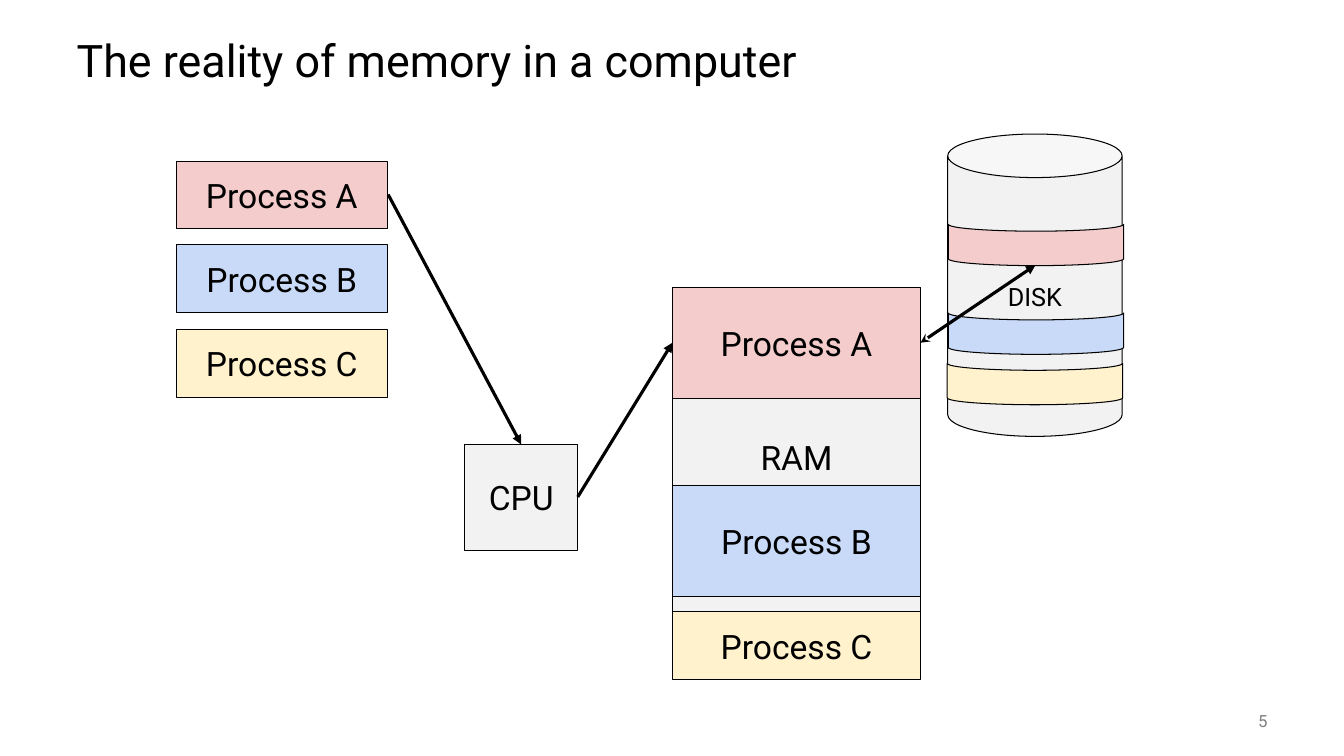
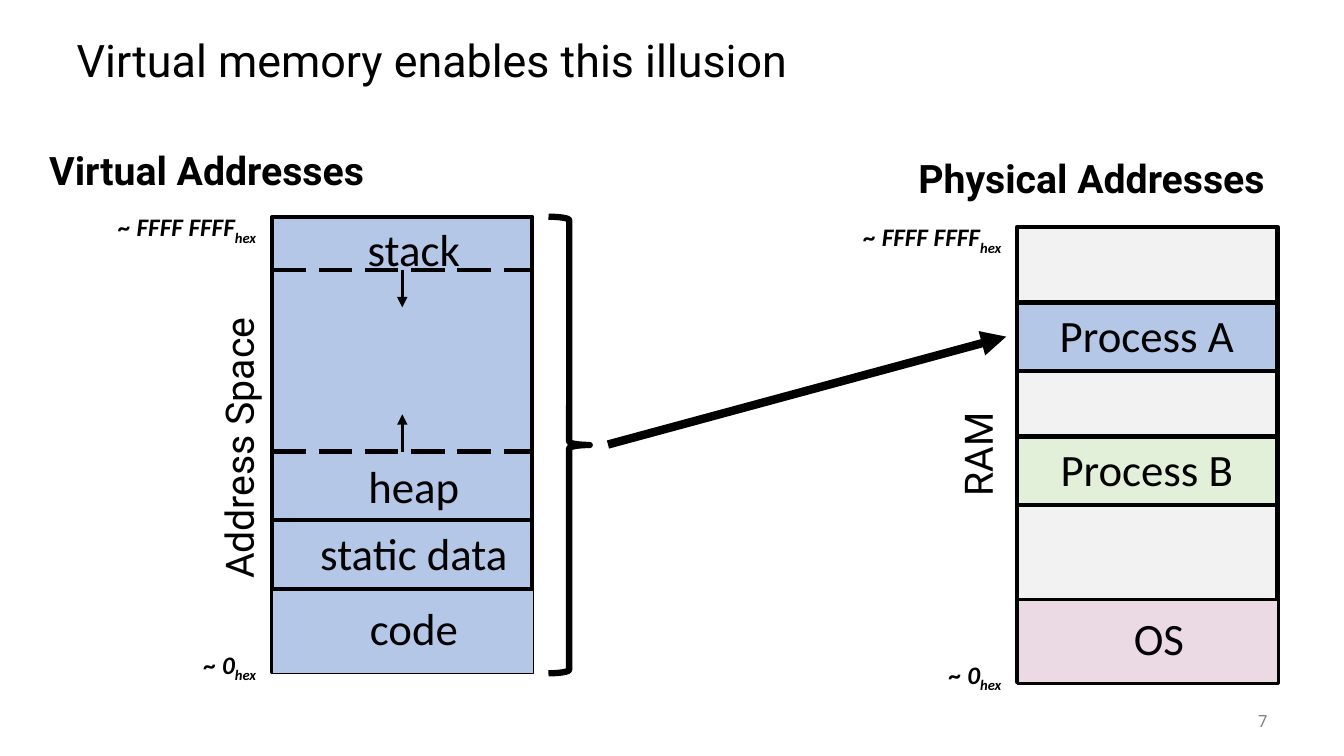
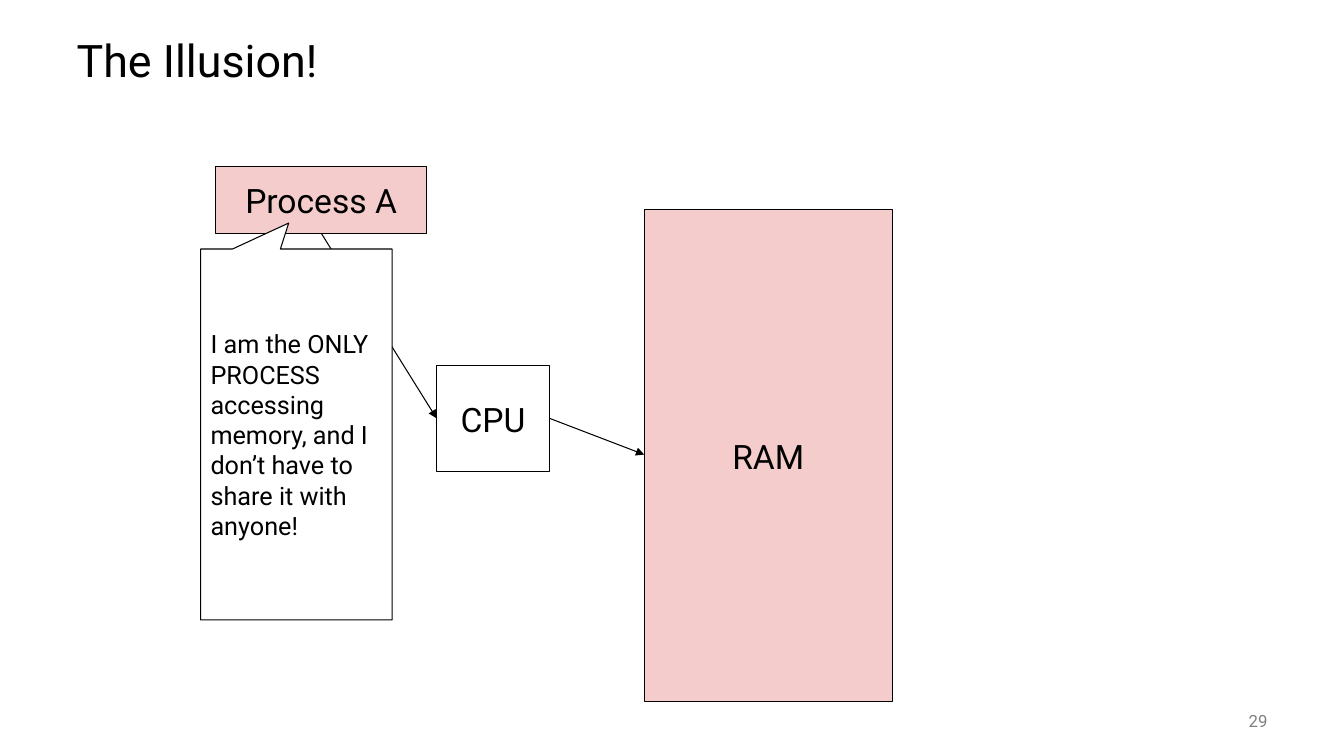
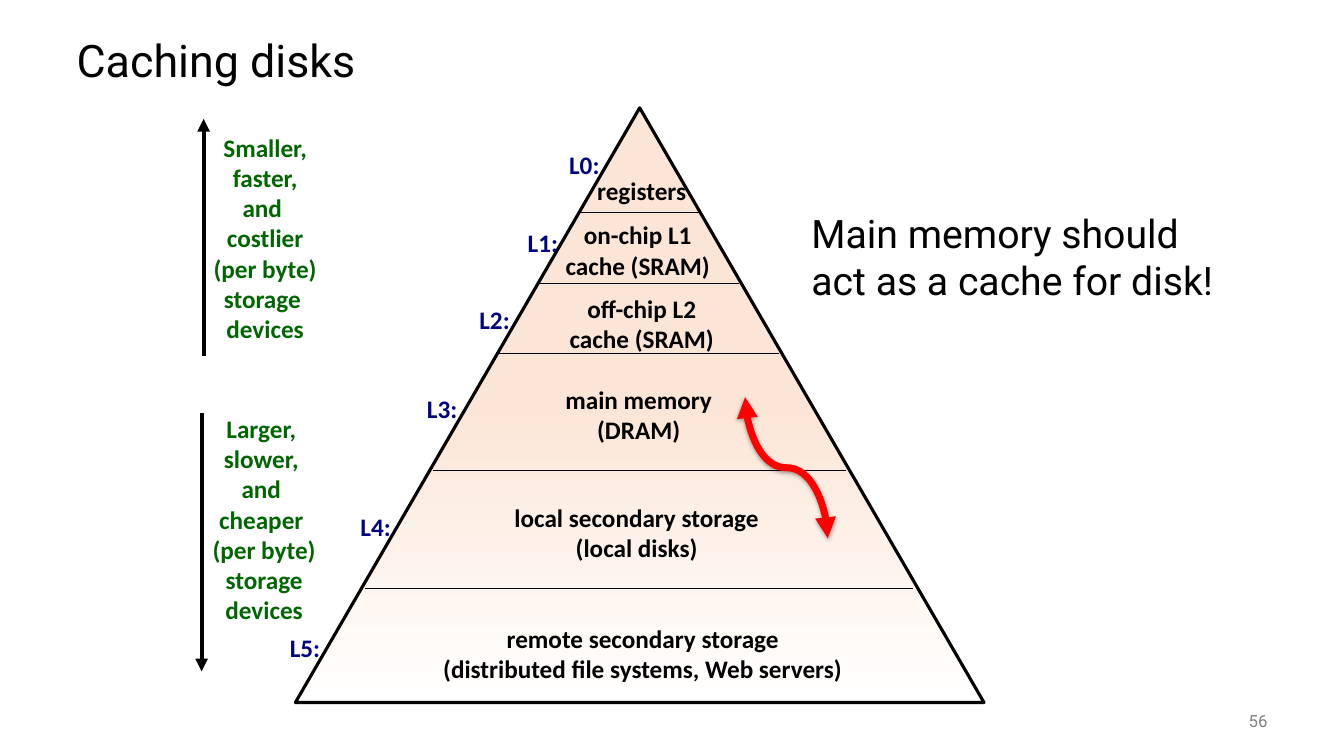
from copy import deepcopy

from lxml.etree import SubElement
from pptx import Presentation
from pptx.dml.color import RGBColor
from pptx.enum.dml import MSO_LINE
from pptx.enum.shapes import MSO_CONNECTOR, MSO_SHAPE
from pptx.enum.text import MSO_ANCHOR, MSO_AUTO_SIZE, PP_ALIGN
from pptx.oxml.ns import qn
from pptx.util import Emu, Pt

BLACK, GRAY, RED = "000000", "808080", "FF0000"
PALE_GRAY, WHITE = "F2F2F2", "FFFFFF"
PINK, BLUE, YELLOW = "F4CCCC", "C9DAF8", "FFF2CC"
STEEL, GREEN, MAUVE, PEACH = "B4C7E7", "E2F0D9", "EBDAE3", "FBE5D6"
NAVY, DARK_GREEN = "000482", "006600"
LEFT, CENTER, RIGHT = PP_ALIGN.LEFT, PP_ALIGN.CENTER, PP_ALIGN.RIGHT
TOP, MIDDLE = MSO_ANCHOR.TOP, MSO_ANCHOR.MIDDLE
ROBOTO, CALIBRI = "Roboto", "Calibri"


def px(*lengths):
    """Turn lengths at 100 px to the inch into EMU."""
    return [Emu(length * 9144) for length in lengths]


def rgb(code):
    return RGBColor.from_string(code)


class Deck:
    def __init__(self):
        self.presentation = Presentation()
        size = px(1333, 750)
        self.presentation.slide_width, self.presentation.slide_height = size
        self.slide = None

    def add_slide(self, title, number):
        layout = self.presentation.slide_layouts[5]
        self.slide = self.presentation.slides.add_slide(layout)
        shape = self.slide.shapes.title
        shape.left, shape.top, shape.width, shape.height = px(66, 25, 1200, 75)
        self.set_text(shape, title, 32, align=LEFT)
        shape.text_frame.paragraphs[0].line_spacing = 0.9
        self.text(str(number), 1167, 695, 100, 40, 12, color=GRAY, align=RIGHT,
                  anchor=MIDDLE)

    def set_text(self, shape, content, size, font=ROBOTO, color=BLACK,
                 bold=False, italic=False, align=CENTER, anchor=MIDDLE,
                 wrap=True):
        frame = shape.text_frame
        frame.text = content
        frame.auto_size = MSO_AUTO_SIZE.NONE
        frame.word_wrap = wrap
        frame.vertical_anchor = anchor
        for paragraph in frame.paragraphs:
            paragraph.alignment = align
            for run in paragraph.runs:
                self.style(run, size, font, color, bold, italic)

    def style(self, run, size, font, color, bold, italic):
        run.font.size, run.font.name = Pt(size), font
        run.font.bold, run.font.italic = bold, italic
        run.font.color.rgb = rgb(color)

    def text(self, content, left, top, width, height, size, rotation=0,
             align=LEFT, anchor=TOP, **style):
        box = self.slide.shapes.add_textbox(*px(left, top, width, height))
        box.rotation = rotation
        self.set_text(box, content, size, align=align, anchor=anchor, **style)
        return box

    def bold_label(self, content, left, top, width, color=BLACK):
        """Add centred lines whose box is as tall as they need."""
        height = 40 + 30 * content.count("\n")
        self.text(content, left, top, width, height, 18, font=CALIBRI,
                  color=color, bold=True, align=CENTER, anchor=MIDDLE,
                  wrap=False)

    def shape(self, kind, left, top, width, height, fill=None, weight=0.75,
              rotation=0):
        shape = self.slide.shapes.add_shape(kind, *px(left, top, width, height))
        shape.shadow.inherit = False
        shape.rotation = rotation
        if fill:
            shape.fill.solid()
            shape.fill.fore_color.rgb = rgb(fill)
        else:
            shape.fill.background()
        shape.line.color.rgb = rgb(BLACK)
        shape.line.width = Pt(weight)
        return shape

    def box(self, content, left, top, width, height, fill, size=24,
            kind=MSO_SHAPE.RECTANGLE, align=CENTER):
        shape = self.shape(kind, left, top, width, height, fill)
        self.set_text(shape, content, size, align=align)
        frame = shape.text_frame
        frame.margin_top, frame.margin_bottom = px(10, 10)
        return shape

    def band(self, left, top, width, height, fill, weight=3):
        return self.shape(MSO_SHAPE.RECTANGLE, left, top, width, height, fill,
                          weight)

    def line(self, start_x, start_y, end_x, end_y, weight, head=None,
             tail=None, dash=None, color=BLACK, kind=MSO_CONNECTOR.STRAIGHT):
        connector = self.slide.shapes.add_connector(
            kind, *px(start_x, start_y, end_x, end_y))
        connector.line.color.rgb = rgb(color)
        connector.line.width = Pt(weight)
        if dash:
            connector.line.dash_style = dash
        properties = connector._element.spPr
        outline = properties.find(qn("a:ln"))
        for tag, arrow in (("a:headEnd", head), ("a:tailEnd", tail)):
            if arrow:
                SubElement(outline, qn(tag), type=arrow)
        SubElement(properties, qn("a:effectLst"))
        return connector

    def arrow(self, start_x, start_y, end_x, end_y, weight, head=None):
        self.line(start_x, start_y, end_x, end_y, weight, head, "triangle")

    def drop_shadow(self, connector):
        effects = connector._element.spPr.find(qn("a:effectLst"))
        shadow = SubElement(effects, qn("a:outerShdw"), blurRad=str(Pt(3.1)),
                            dist=str(Pt(1.6)), dir="5400000", rotWithShape="0")
        color = SubElement(shadow, qn("a:srgbClr"), val=BLACK)
        SubElement(color, qn("a:alpha"), val="37000")

    def gradient(self, shape, stops):
        """Fill from top to bottom with three (position, colour) stops."""
        shape.fill.gradient()
        shape.fill.gradient_angle = 270
        stop_list = shape._element.spPr.find(".//" + qn("a:gsLst"))
        stop_list.insert(1, deepcopy(stop_list[0]))
        for stop, (position, color) in zip(shape.fill.gradient_stops, stops):
            stop.position = position
            stop.color.rgb = rgb(color)

    def memory_label(self, content, center, top):
        self.text(content, center - 108, top, 217, 58, 32, font=CALIBRI,
                  align=CENTER)

    def hex_address(self, digits, right, top):
        box = self.text(f"~ {digits}", right - 198, top, 198, 36, 18,
                        font=CALIBRI, bold=True, italic=True, align=RIGHT)
        run = box.text_frame.paragraphs[0].add_run()
        run.text = "hex"
        self.style(run, 18, CALIBRI, BLACK, True, True)
        run.font._element.set("baseline", "-25000")

    def memory_column(self, left, top, fill, bottom_fill, bottom_label,
                      bottom_weight):
        self.band(left, top, 258, 452, fill)
        self.band(left, top + 370, 259, 83, bottom_fill, bottom_weight)
        self.memory_label(bottom_label, left + 140, top + 376)
        self.hex_address("FFFF FFFF", left - 6, top - 10)
        self.hex_address("0", left - 6, top + 424)


def add_reality_slide(deck):
    deck.add_slide("The reality of memory in a computer", 5)
    deck.box("CPU", 461, 441, 112, 105, PALE_GRAY)
    deck.box("RAM", 667, 285, 246, 336, PALE_GRAY)
    deck.box("DISK", 940, 133, 173, 300, PALE_GRAY, 18, MSO_SHAPE.CAN)
    processes = [
        ("Process A", PINK, 160, 285, 110, 1007, 156),
        ("Process B", BLUE, 243, 482, 110, 1007, 244),
        ("Process C", YELLOW, 327, 607, 67, 1006, 294),
    ]
    for name, color, top, ram_top, ram_height, disk_left, disk_top in processes:
        deck.box(name, 175, top, 209, 67, color)
        deck.box(name, 667, ram_top, 246, ram_height, color)
        deck.shape(MSO_SHAPE.FLOWCHART_STORED_DATA, disk_left, disk_top, 41,
                   174, color, rotation=270)
    deck.arrow(385, 193, 517, 441, 2.25)
    deck.arrow(573, 493, 667, 340, 2.25)
    deck.arrow(913, 340, 1027, 263, 2.25, head="stealth")


def add_virtual_memory_slide(deck):
    deck.add_slide("Virtual memory enables this illusion", 7)
    deck.memory_column(270, 215, STEEL, STEEL, "code", 1)
    deck.band(270, 516, 258, 68, STEEL)
    for label, top in (("static data", 517), ("heap", 450), ("stack", 215)):
        deck.memory_label(label, 410, top)
    for edge, tip in ((448, 411), (268, 305)):
        deck.line(270, edge, 529, edge, 3, dash=MSO_LINE.LONG_DASH)
        deck.arrow(399, edge, 399, tip, 2.5)

    deck.memory_column(1009, 225, PALE_GRAY, MAUVE, "OS", 2.25)
    for label, top, color in (("Process A", 300, STEEL),
                              ("Process B", 433, GREEN)):
        deck.band(1009, top, 258, 68, color)
        deck.memory_label(label, 1137, top)

    for heading, left, top in (("Virtual Addresses", 39, 140),
                               ("Physical Addresses", 901, 148)):
        deck.text(heading, left, top, 393, 57, 28, bold=True)
    for side_label, left, top in (("Address Space", 40, 416),
                                  ("RAM", 773, 422)):
        deck.text(side_label, left, top, 393, 57, 28, rotation=270,
                  align=CENTER)
    deck.arrow(603, 441, 998, 334, 6)
    deck.shape(MSO_SHAPE.RIGHT_BRACE, 544, 215, 41, 453, weight=4.5)


def add_illusion_slide(deck):
    deck.add_slide("The Illusion!", 29)
    deck.box("CPU", 433, 363, 112, 105, WHITE)
    deck.box("RAM", 639, 208, 246, 488, PINK)
    deck.box("Process A", 214, 165, 209, 67, PINK)
    deck.arrow(319, 232, 433, 415, 0.75)
    deck.arrow(545, 415, 639, 451, 0.75)
    callout = deck.box(
        "I am the ONLY PROCESS accessing memory, and I don’t have to share it "
        "with anyone!", 199, 247, 190, 368, WHITE, 18,
        MSO_SHAPE.RECTANGULAR_CALLOUT, LEFT)
    callout.adjustments[0] = -0.04
    callout.adjustments[1] = -0.57


def add_caching_slide(deck):
    deck.add_slide("Caching disks", 56)
    pyramid = deck.shape(MSO_SHAPE.ISOSCELES_TRIANGLE, 293, 107, 683, 590,
                         PEACH, 2.25)
    deck.gradient(pyramid, [(0, PEACH), (0.49, PEACH), (1, WHITE)])
    for divider in (211, 281, 351, 467, 584):
        reach = round((divider - 107) * 0.57)
        deck.line(634 - reach, divider, 634 + reach, divider, 1)

    levels = [
        ("registers", 581, 169, 111, 554, 143),
        ("on-chip L1\ncache (SRAM)", 550, 213, 165, 513, 221),
        ("off-chip L2\ncache (SRAM)", 554, 286, 165, 465, 297),
        ("main memory\n(DRAM)", 550, 376, 167, 413, 385),
        ("local secondary storage\n(local disks)", 498, 493, 267, 347, 502),
        ("remote secondary storage\n(distributed file systems, Web servers)",
         426, 613, 423, 277, 622),
    ]
    for index, (name, left, top, width, tag_left, tag_top) in enumerate(levels):
        deck.bold_label(name, left, top, width)
        deck.bold_label(f"L{index}:", tag_left, tag_top, 51, NAVY)

    deck.bold_label("Smaller,\nfaster,\nand \ncostlier\n(per byte)\nstorage \n"
                    "devices", 201, 126, 124, DARK_GREEN)
    deck.bold_label("Larger, \nslower, \nand \ncheaper \n(per byte)\nstorage\n"
                    "devices", 200, 405, 124, DARK_GREEN)
    deck.arrow(202, 353, 202, 118, 3)
    deck.arrow(200, 410, 200, 666, 3)

    swap = deck.line(850, 423, 710, 505, 5, "triangle", "triangle", color=RED,
                     kind=MSO_CONNECTOR.CURVE)
    swap.rotation = 270
    deck.drop_shadow(swap)
    deck.text("Main memory should act as a cache for disk!", 795, 203, 447,
              104, 28)


def main():
    deck = Deck()
    add_reality_slide(deck)
    add_virtual_memory_slide(deck)
    add_illusion_slide(deck)
    add_caching_slide(deck)
    deck.presentation.save("out.pptx")


if __name__ == "__main__":
    main()
